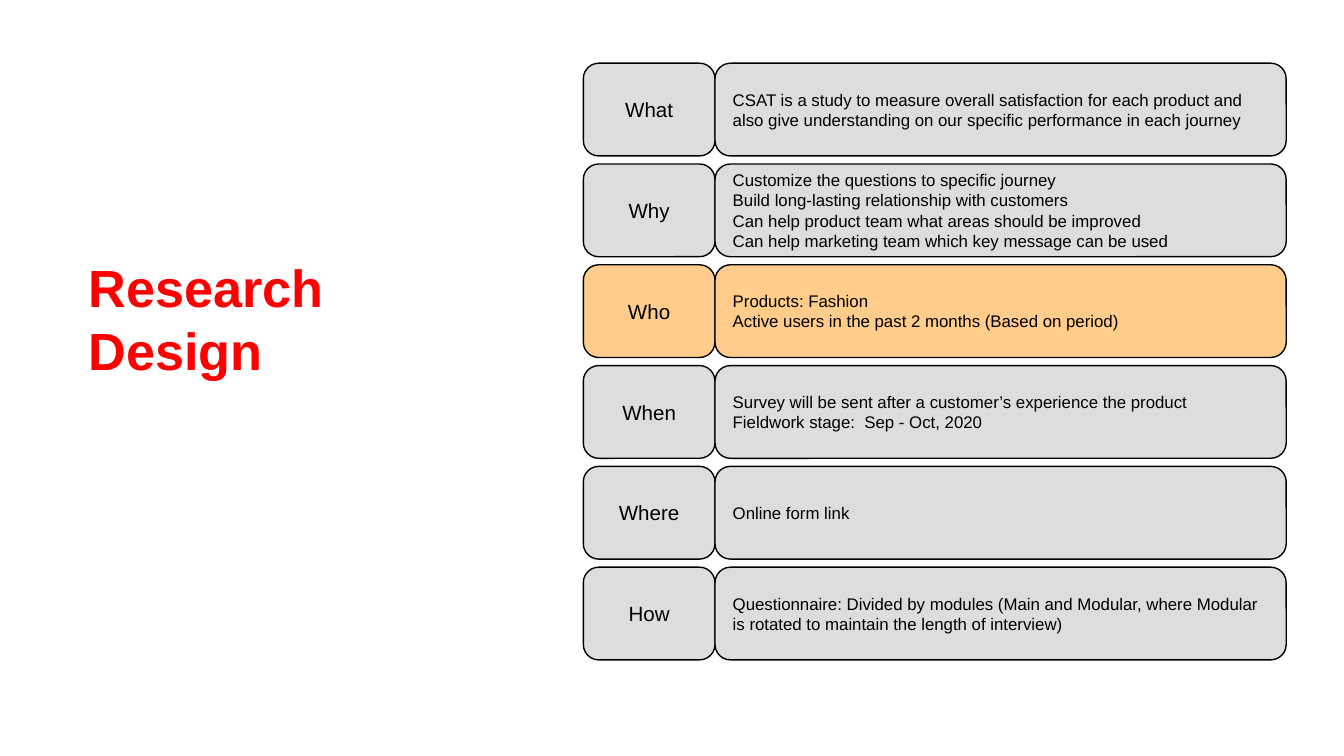
from typing import NamedTuple

from pptx import Presentation
from pptx.dml.color import RGBColor
from pptx.enum.shapes import MSO_SHAPE
from pptx.enum.text import MSO_ANCHOR, PP_ALIGN
from pptx.slide import Slide
from pptx.text.text import TextFrame
from pptx.util import Inches, Pt

COLORS = {
    "title": "FF0000",
    "text": "000000",
    "outline": "000000",
    "plain": "DDDDDD",
    "highlight": "FFCC8B",
}
FONT = "Arial"
SLIDE_WIDTH = Inches(10)
SLIDE_HEIGHT = SLIDE_WIDTH * 9 // 16
ROW_TOP, ROW_HEIGHT, ROW_PITCH = 0.47, 0.69, 0.75


class Column(NamedTuple):
    left: float
    width: float
    size: int
    align: PP_ALIGN


class Question(NamedTuple):
    label: str
    details: list[str]
    fill: str = "plain"


LABEL_COLUMN = Column(4.34, 0.98, 11, PP_ALIGN.CENTER)
DETAIL_COLUMN = Column(5.32, 4.25, 9, PP_ALIGN.LEFT)

QUESTIONS = [
    Question("What", [
        "CSAT is a study to measure overall satisfaction for each product and "
        "also give understanding on our specific performance in each journey",
    ]),
    Question("Why", [
        "Customize the questions to specific journey",
        "Build long-lasting relationship with customers",
        "Can help product team what areas should be improved",
        "Can help marketing team which key message can be used",
    ]),
    Question("Who", [
        "Products: Fashion",
        "Active users in the past 2 months (Based on period)",
    ], "highlight"),
    Question("When", [
        "Survey will be sent after a customer’s experience the product",
        "Fieldwork stage:  Sep - Oct, 2020",
    ]),
    Question("Where", ["Online form link"]),
    Question("How", [
        "Questionnaire: Divided by modules (Main and Modular, where Modular "
        "is rotated to maintain the length of interview)",
    ]),
]


def color(name: str) -> RGBColor:
    return RGBColor.from_string(COLORS[name])


def write_lines(frame: TextFrame, lines: list[str], size: int, color_name: str,
                align: PP_ALIGN = PP_ALIGN.LEFT, bold: bool = False) -> None:
    frame.word_wrap = True
    frame.text = "\n".join(lines)
    for paragraph in frame.paragraphs:
        paragraph.alignment = align
        paragraph.font.name = FONT
        paragraph.font.size = Pt(size)
        paragraph.font.bold = bold
        paragraph.font.color.rgb = color(color_name)


def add_cell(slide: Slide, column: Column, row: int, lines: list[str], fill: str) -> None:
    shape = slide.shapes.add_shape(
        MSO_SHAPE.ROUNDED_RECTANGLE,
        Inches(column.left), Inches(ROW_TOP + row * ROW_PITCH),
        Inches(column.width), Inches(ROW_HEIGHT))
    shape.shadow.inherit = False
    shape.fill.solid()
    shape.fill.fore_color.rgb = color(fill)
    shape.line.color.rgb = color("outline")
    shape.line.width = Pt(0.75)
    frame = shape.text_frame
    frame.vertical_anchor = MSO_ANCHOR.MIDDLE
    frame.margin_left = frame.margin_right = Inches(0.1)
    frame.margin_top = frame.margin_bottom = Inches(0.1)
    write_lines(frame, lines, column.size, "text", column.align)


def add_title(slide: Slide, lines: list[str]) -> None:
    box = slide.shapes.add_textbox(Inches(0.56), Inches(1.85), Inches(3.66), Inches(1.04))
    write_lines(box.text_frame, lines, 28, "title", bold=True)


def main() -> None:
    presentation = Presentation()
    presentation.slide_width = SLIDE_WIDTH
    presentation.slide_height = SLIDE_HEIGHT
    slide = presentation.slides.add_slide(presentation.slide_layouts[6])
    for row, question in enumerate(QUESTIONS):
        add_cell(slide, LABEL_COLUMN, row, [question.label], question.fill)
    for row, question in enumerate(QUESTIONS):
        add_cell(slide, DETAIL_COLUMN, row, question.details, question.fill)
    add_title(slide, ["Research", "Design"])
    presentation.save("out.pptx")


if __name__ == "__main__":
    main()
